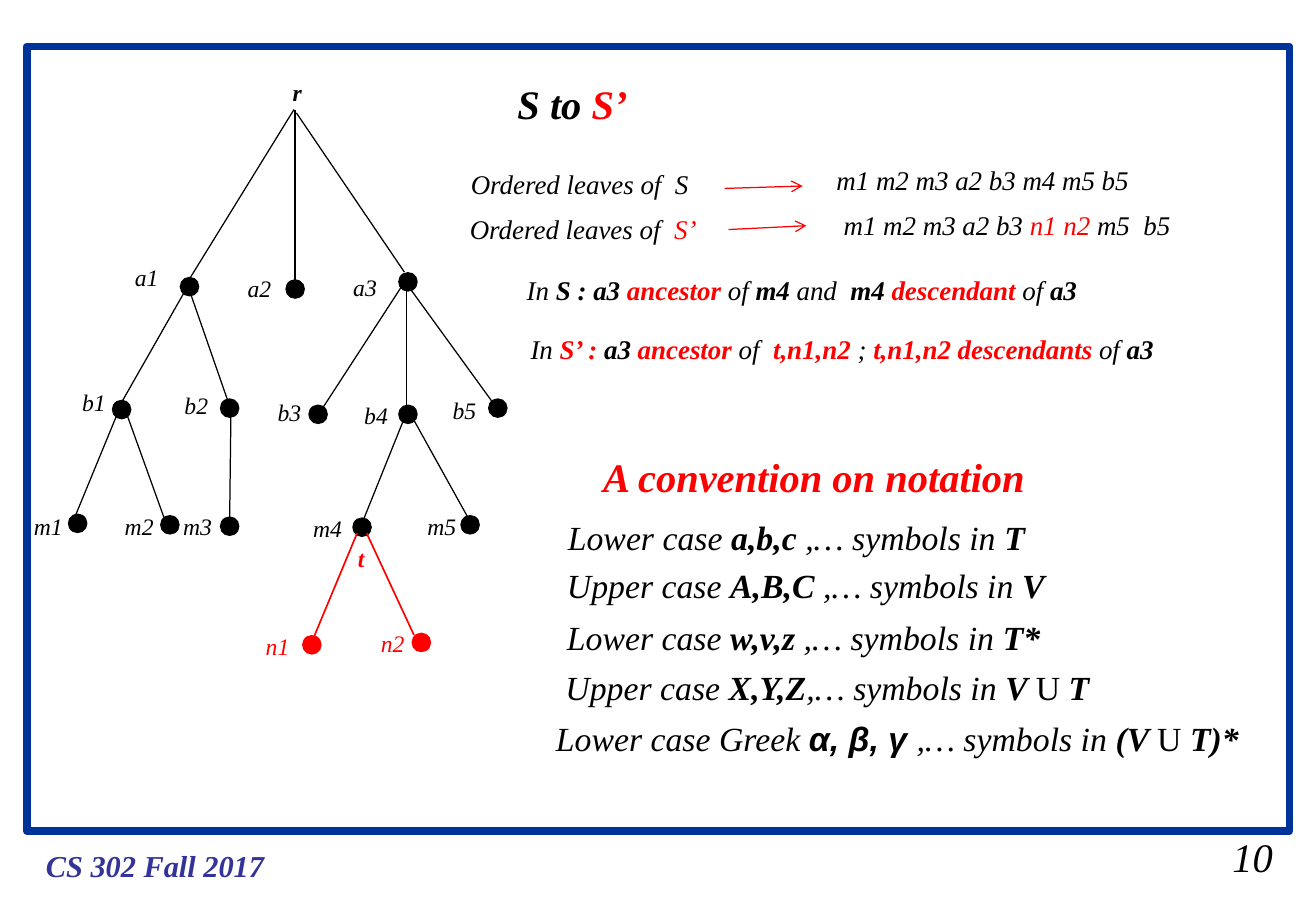
import lxml.etree
import pptx
import pptx.dml.color
import pptx.enum.shapes
import pptx.enum.text
import pptx.oxml.ns
import pptx.util

Cm = pptx.util.Cm
Pt = pptx.util.Pt
BLACK = pptx.dml.color.RGBColor(0x00, 0x00, 0x00)
RED = pptx.dml.color.RGBColor(0xFF, 0x00, 0x00)
FRAME_BLUE = pptx.dml.color.RGBColor(0x00, 0x33, 0x99)
FOOTER_BLUE = pptx.dml.color.RGBColor(0x33, 0x33, 0x99)

# name: dot corner, label corner, branch from parent (x1, y1, x2, y2)
TREE = {
    "a1": ((3.76, 5.79), (2.57, 5.38), (6.15, 2.29, 3.91, 5.92)),
    "a2": ((5.97, 5.84), (4.93, 5.61), (6.17, 2.29, 6.17, 6.12)),
    "a3": ((8.33, 5.69), (7.14, 5.59), (6.2, 2.36, 8.46, 5.69)),
    "b1": ((2.34, 8.36), (1.47, 7.98), (3.89, 6.05, 2.46, 8.56)),
    "b2": ((4.6, 8.33), (3.61, 8.05), (3.91, 5.92, 4.8, 8.48)),
    "b3": ((6.45, 8.46), (5.56, 8.2), (8.48, 5.87, 6.68, 8.64)),
    "b4": ((8.33, 8.46), (7.37, 8.26), (8.51, 5.87, 8.51, 8.79)),
    "b5": ((10.21, 8.33), (9.22, 8.15), (8.51, 5.94, 10.34, 8.46)),
    "m1": ((1.42, 10.74), (0.46, 10.57), (2.46, 8.64, 1.55, 10.85)),
    "m2": ((3.35, 10.77), (2.36, 10.57), (2.67, 8.71, 3.43, 10.82)),
    "m3": ((4.6, 10.8), (3.58, 10.57), (4.83, 8.69, 4.8, 11.2)),
    "m4": ((7.37, 10.82), (6.3, 10.62), (8.48, 8.69, 7.59, 10.9)),
    "m5": ((9.63, 10.77), (8.69, 10.59), (8.66, 8.79, 9.86, 10.95)),
    "n1": ((6.32, 13.28), (5.31, 13.08), (7.47, 11.15, 6.55, 13.36)),
    "n2": ((8.61, 13.23), (7.72, 13.03), (7.67, 11.15, 8.66, 13.28)),
}

# Run styles: b bold, r red, u upright, a Arial
DERIVATIONS = [
    (17.25, 3.3, 7.0, [("m1 m2 m3 a2 b3 m4 m5 b5", "")]),
    (9.6, 3.38, 5.4, [("Ordered leaves of  S", "")]),
    (17.4, 4.24, 7.8, [("m1 m2 m3 a2 b3 ", ""), ("n1 n2 ", "r"), ("m5  b5", "")]),
    (9.58, 4.32, 5.45, [("Ordered leaves of  ", ""), ("S’", "r")]),
    (10.77, 5.59, 12.3, [
        ("In ", ""), ("S : a3 ", "b"), ("ancestor", "br"), (" of ", ""), ("m4", "b"),
        (" and  ", ""), ("m4 ", "b"), ("descendant", "br"), (" of ", ""), ("a3", "b")]),
    (10.85, 6.83, 14.4, [
        ("In ", ""), ("S’ : ", "br"), ("a3 ", "b"), ("ancestor", "br"), (" of  ", ""),
        ("t,n1,n2 ", "br"), ("; ", ""), ("t,n1,n2 descendants", "br"), (" of ", ""),
        ("a3", "b")]),
]
ARROWS = [(15.16, 3.94, 16.79, 3.89), (15.24, 4.8, 16.87, 4.72)]
SYMBOLS_IN = " ,… symbols in "
CONVENTIONS = [
    (11.63, 10.69, 10.2, [("Lower case ", ""), ("a,b,c", "b"), (SYMBOLS_IN, ""), ("T", "b")]),
    (11.61, 11.68, 10.6, [("Upper case ", ""), ("A,B,C", "b"), (SYMBOLS_IN, ""), ("V", "b")]),
    (11.61, 12.78, 10.6, [("Lower case ", ""), ("w,v,z", "b"), (SYMBOLS_IN, ""), ("T*", "b")]),
    (11.58, 13.82, 11.7, [
        ("Upper case ", ""), ("X,Y,Z", "b"), (",… symbols in ", ""), ("V ", "b"),
        ("U", "u"), (" T", "b")]),
    (11.38, 14.88, 15.3, [
        ("Lower case Greek ", ""), ("α, β, γ ", "ab"), (",… symbols in ", ""),
        ("(V ", "b"), ("U", "u"), (" T)*", "b")]),
]


class SlideBuilder:
    font_name = "Times New Roman"

    def __init__(self, presentation):
        self.slide = presentation.slides.add_slide(presentation.slide_layouts[5])

    def fill_text(self, shape, runs, size, color, bold):
        frame = shape.text_frame
        frame.word_wrap = True
        frame.auto_size = pptx.enum.text.MSO_AUTO_SIZE.NONE
        frame.vertical_anchor = pptx.enum.text.MSO_ANCHOR.TOP
        paragraph = frame.paragraphs[0]
        paragraph.alignment = pptx.enum.text.PP_ALIGN.LEFT
        font = paragraph.font
        font.name, font.size = self.font_name, Pt(size)
        font.italic, font.bold = True, bold
        font.color.rgb = color
        for words, style in runs:
            run = paragraph.add_run()
            run.text = words
            if "b" in style:
                run.font.bold = True
            if "r" in style:
                run.font.color.rgb = RED
            if "u" in style:
                run.font.italic = False
            if "a" in style:
                run.font.name = "Arial"

    def place(self, shape, left, top, width, size):
        """Position a one-line shape whose height follows its text size."""
        shape.left, shape.top = Cm(left), Cm(top)
        shape.width, shape.height = Cm(width), Cm(round(0.042 * size + 0.27, 2))

    def title(self, left, top, width, runs, size):
        shape = self.slide.shapes.title
        self.place(shape, left, top, width, size)
        self.fill_text(shape, runs, size, BLACK, True)

    def text(self, left, top, width, runs, size, color=BLACK, bold=False):
        shape = self.slide.shapes.add_textbox(0, 0, 0, 0)
        self.place(shape, left, top, width, size)
        self.fill_text(shape, runs, size, color, bold)

    def frame(self, left, top, width, height):
        shape = self.slide.shapes.add_shape(
            pptx.enum.shapes.MSO_SHAPE.RECTANGLE, Cm(left), Cm(top), Cm(width), Cm(height))
        shape.shadow.inherit = False
        shape.fill.background()
        shape.line.color.rgb = FRAME_BLUE
        shape.line.width = Pt(4.5)

    def dot(self, left, top, color):
        shape = self.slide.shapes.add_shape(
            pptx.enum.shapes.MSO_SHAPE.OVAL, Cm(left), Cm(top), Cm(0.41), Cm(0.41))
        shape.shadow.inherit = False
        shape.fill.solid()
        shape.fill.fore_color.rgb = color
        shape.line.fill.background()

    def line(self, ends, color, width=0.75, arrow=False):
        connector = self.slide.shapes.add_connector(
            pptx.enum.shapes.MSO_CONNECTOR.STRAIGHT, *[Cm(value) for value in ends])
        connector.line.color.rgb = color
        connector.line.width = Pt(width)
        qn = pptx.oxml.ns.qn
        properties = connector._element.spPr
        if arrow:
            lxml.etree.SubElement(properties.find(qn("a:ln")), qn("a:tailEnd"), type="arrow")
        lxml.etree.SubElement(properties, qn("a:effectLst"))


def main():
    presentation = pptx.Presentation()
    presentation.slide_width = Cm(27.53)
    presentation.slide_height = Cm(19.05)
    builder = SlideBuilder(presentation)

    builder.frame(0.56, 0.97, 26.42, 16.41)
    builder.title(10.57, 1.52, 3.0, [("S to ", ""), ("S’", "r")], 24)
    builder.text(0.71, 17.6, 5.2, [("CS 302 Fall 2017", "")], 18, FOOTER_BLUE, True)
    builder.text(25.53, 17.27, 1.4, [("10", "")], 24)

    for name, (dot, label, branch) in TREE.items():
        is_new = name.startswith("n")
        color = RED if is_new else BLACK
        builder.line(branch, color, 1 if is_new else 0.75)
        builder.dot(*dot, color)
        builder.text(*label, 1.2, [(name, "")], 14, color)
    builder.text(5.87, 1.5, 0.8, [("r", "")], 14, BLACK, True)
    builder.text(7.24, 11.25, 1.0, [("t", "")], 14, RED, True)

    for left, top, width, runs in DERIVATIONS:
        builder.text(left, top, width, runs, 16)
    for ends in ARROWS:
        builder.line(ends, RED, arrow=True)

    builder.text(12.37, 9.32, 9.5, [("A convention on notation", "")], 24, RED, True)
    for left, top, width, runs in CONVENTIONS:
        builder.text(left, top, width, runs, 20)

    presentation.save("out.pptx")


if __name__ == "__main__":
    main()
